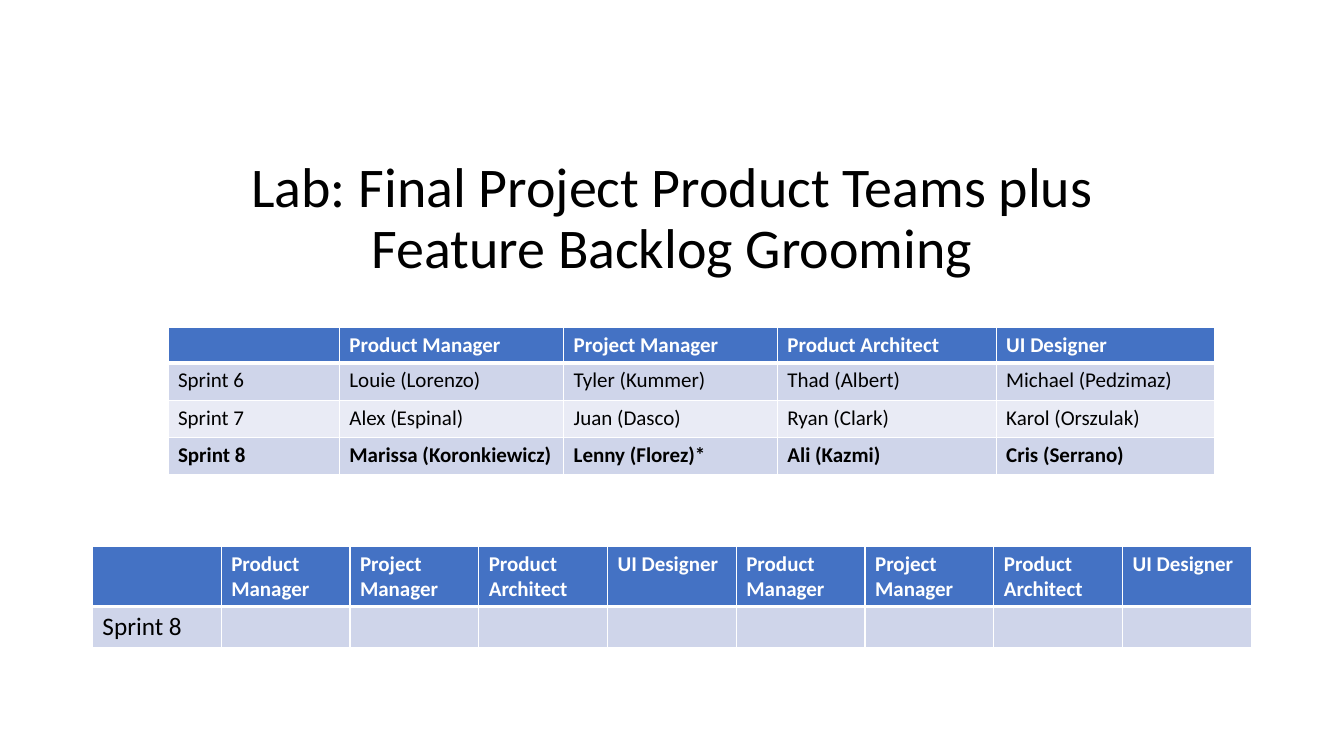
from lxml import etree
from pptx import Presentation
from pptx import util as u
from pptx.dml.color import RGBColor
from pptx.enum import text
from pptx.oxml.ns import qn

COLUMNS, ROWS = 160, 90
HEADER, BAND_DARK, BAND_LIGHT = "4472C4", "CFD5EA", "E9EBF5"
WHITE, BLACK = "FFFFFF", "000000"


def color(value):
    return RGBColor.from_string(value)


def write(frame, content, size=15, fill=BLACK, bold=False, font="Calibri",
          align=text.PP_ALIGN.LEFT, spacing=1.0):
    paragraph = frame.paragraphs[0]
    paragraph.alignment = align
    paragraph.line_spacing = spacing
    if not content:  # keeps an empty cell from growing its row
        end = etree.SubElement(paragraph._p, qn("a:endParaRPr"))
        end.set("sz", str(size * 100))
        return
    run = paragraph.add_run()
    run.text = content
    run.font.name = font
    run.font.size = u.Pt(size)
    run.font.bold = bold
    run.font.color.rgb = color(fill)


def set_borders(cell, **widths):
    properties = cell._tc.get_or_add_tcPr()
    for side in "LRTB":
        line = etree.SubElement(properties, qn(f"a:ln{side}"),
                                w=str(u.Pt(widths.get(side, 1))))
        solid = etree.SubElement(line, qn("a:solidFill"))
        etree.SubElement(solid, qn("a:srgbClr"), val=WHITE)


class SlideBuilder:
    """Places elements on a grid of COLUMNS by ROWS cells."""

    def __init__(self, presentation):
        self.slide = presentation.slides.add_slide(presentation.slide_layouts[6])
        self.column = presentation.slide_width / COLUMNS
        self.row = presentation.slide_height / ROWS

    def box(self, left, top, width, height):
        return (u.Emu(round(left * self.column)), u.Emu(round(top * self.row)),
                u.Emu(round(width * self.column)), u.Emu(round(height * self.row)))

    def title(self, content, *place):
        frame = self.slide.shapes.add_textbox(*self.box(*place)).text_frame
        frame.word_wrap = True
        frame.vertical_anchor = text.MSO_ANCHOR.BOTTOM
        write(frame, content, size=40, align=text.PP_ALIGN.CENTER, spacing=0.9)

    def table(self, left, top, widths, heights, rows, body_size=15, bold_row=None):
        place = self.box(left, top, sum(widths), sum(heights))
        table = self.slide.shapes.add_table(len(rows), len(widths), *place).table
        for column, width in zip(table.columns, widths):
            column.width = u.Emu(round(width * self.column))
        for row, height in zip(table.rows, heights):
            row.height = u.Emu(round(height * self.row))
        for i, values in enumerate(rows):
            for j, value in enumerate(values):
                self.cell(table.cell(i, j), value, i, body_size, i == bold_row)

    def cell(self, cell, value, row, body_size, bold):
        if row == 0:
            set_borders(cell, B=3)
            background = HEADER
            write(cell.text_frame, value, fill=WHITE, bold=True)
        else:
            set_borders(cell, T=3 if row == 1 else 1)
            background = BAND_DARK if row % 2 else BAND_LIGHT
            write(cell.text_frame, value, size=body_size, bold=bold)
        cell.fill.solid()
        cell.fill.fore_color.rgb = color(background)


def main():
    presentation = Presentation()
    presentation.slide_width = u.Inches(13.33)
    presentation.slide_height = u.Inches(7.5)
    builder = SlideBuilder(presentation)

    # Title
    builder.title("Lab: Final Project Product Teams plus Feature Backlog Grooming",
                  20, 14.76, 120, 19.2)

    # Sprint assignments
    roles = ["Product Manager", "Project Manager", "Product Architect", "UI Designer"]
    sprints = [
        ["", *roles],
        ["Sprint 6", "Louie (Lorenzo)", "Tyler (Kummer)", "Thad (Albert)",
         "Michael (Pedzimaz)"],
        ["Sprint 7", "Alex (Espinal)", "Juan (Dasco)", "Ryan (Clark)",
         "Karol (Orszulak)"],
        ["Sprint 8", "Marissa (Koronkiewicz)", "Lenny (Florez)*", "Ali (Kazmi)",
         "Cris (Serrano)"],
    ]
    builder.table(20, 39, [20.4, 26.7, 25.45, 26.05, 26.05],
                  [4.2] + [4.45] * 3, sprints, bold_row=3)

    # Open roles for two teams
    team_roles = roles * 2
    builder.table(11, 65, [138 / 9] * 9, [7.1, 4.9],
                  [["", *team_roles], ["Sprint 8"] + [""] * len(team_roles)],
                  body_size=18)

    presentation.save("out.pptx")


if __name__ == "__main__":
    main()
